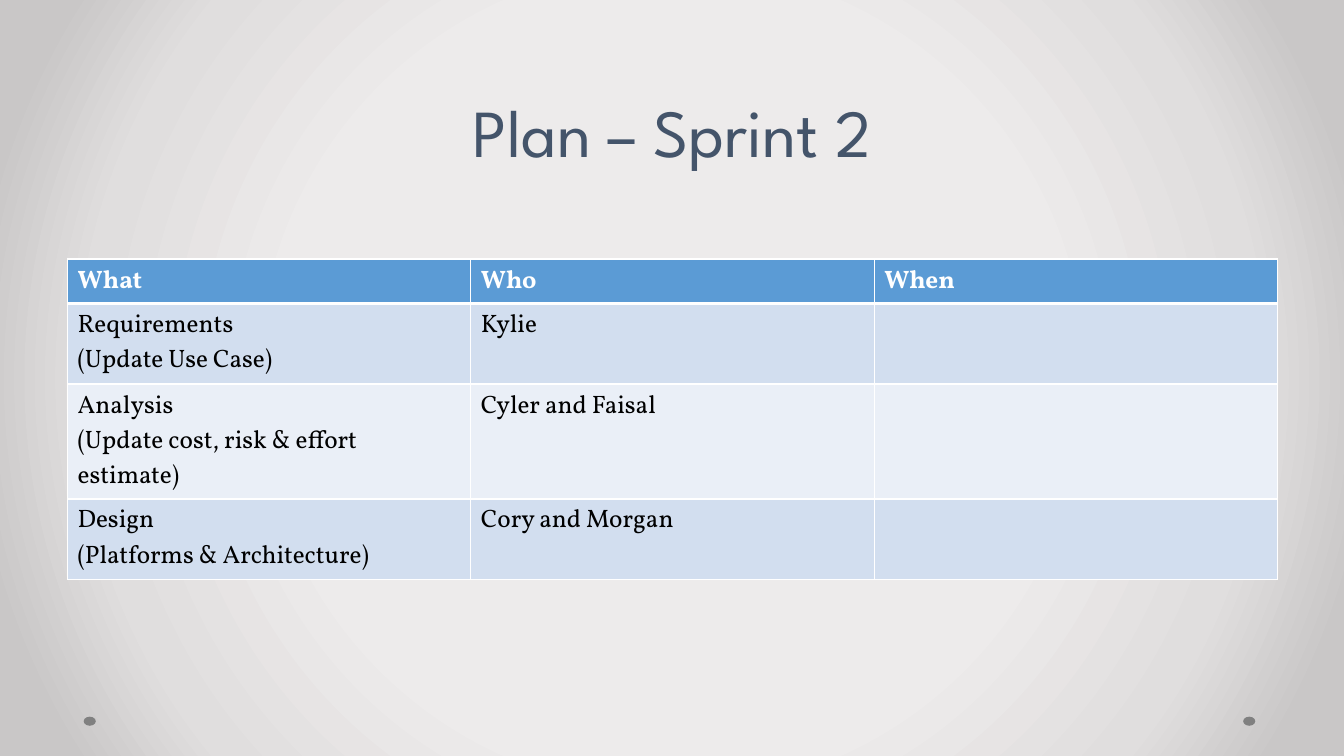
from dataclasses import dataclass

from lxml import etree
from pptx import Presentation
from pptx.dml.color import RGBColor
from pptx.enum.shapes import MSO_SHAPE as SHAPE
from pptx.enum.text import MSO_ANCHOR as ANCHOR, PP_ALIGN as ALIGN
from pptx.oxml import parse_xml
from pptx.oxml.ns import nsdecls, qn
from pptx.util import Inches, Pt


@dataclass(frozen=True)
class Theme:
    title_font: str = "League Spartan"
    body_font: str = "Vollkorn"
    title_size: int = 48
    body_size: int = 18
    title: str = "44546A"
    dot: str = "808080"
    header: str = "5B9BD5"
    header_text: str = "FFFFFF"
    body_text: str = "000000"
    bands: tuple = ("D2DEEF", "EAEFF7")
    border: str = "FFFFFF"
    backdrop: tuple = ((50, "EDEBEB"), (76, "E0DEDE"), (92, "C9C7C7"))


THEME = Theme()
SLIDE_W, SLIDE_H = 13.33, 7.5
PLAN = [
    ("What", "Who", "When"),
    ("Requirements\n(Update Use Case)", "Kylie", ""),
    ("Analysis\n(Update cost, risk & effort estimate)", "Cyler and Faisal", ""),
    ("Design\n(Platforms & Architecture)", "Cory and Morgan", ""),
]
ROW_HEIGHTS = (0.44, 0.8, 1.14, 0.8)


def style_run(r, font, size, color, bold=False):
    r.font.name = font
    r.font.size = Pt(size)
    r.font.bold = bold
    r.font.color.rgb = RGBColor.from_string(color)


def set_backdrop(slide):
    """Fill the background with a gradient that spreads from the centre."""
    slide.background.fill.solid()
    solid = slide.element.find(".//" + qn("p:bgPr")).find(qn("a:solidFill"))
    stops = "".join(
        f'<a:gs pos="{pos * 1000}"><a:srgbClr val="{color}"/></a:gs>'
        for pos, color in THEME.backdrop
    )
    gradient = parse_xml(
        f'<a:gradFill {nsdecls("a")} rotWithShape="1"><a:gsLst>{stops}</a:gsLst>'
        '<a:path path="circle"><a:fillToRect l="50000" t="50000" r="50000" b="50000"/>'
        "</a:path></a:gradFill>"
    )
    solid.getparent().replace(solid, gradient)


def add_footer_dots(slide, left, top, width, height):
    """Place one dot at each end of the box."""
    dot_w = 0.12
    for x in (left, left + width - dot_w):
        sp = slide.shapes.add_shape(
            SHAPE.OVAL, Inches(x), Inches(top), Inches(dot_w), Inches(height)
        )
        sp.shadow.inherit = False
        sp.fill.solid()
        sp.fill.fore_color.rgb = RGBColor.from_string(THEME.dot)
        sp.line.fill.background()


def add_title(slide, text, left, top, width, height):
    box = slide.shapes.add_textbox(
        Inches(left), Inches(top), Inches(width), Inches(height)
    )
    tf = box.text_frame
    tf.word_wrap = True
    tf.vertical_anchor = ANCHOR.BOTTOM
    tf.text = text
    p = tf.paragraphs[0]
    p.alignment = ALIGN.CENTER
    p.line_spacing = Pt(THEME.title_size)
    style_run(p.runs[0], THEME.title_font, THEME.title_size, THEME.title)


def set_borders(cell, widths):
    """Draw the left, right, top and bottom borders, with widths in points."""
    tc_pr = cell._tc.get_or_add_tcPr()
    for i, (side, width) in enumerate(zip("LRTB", widths)):
        ln = etree.Element(qn(f"a:ln{side}"), w=str(Pt(width)))
        fill = etree.SubElement(ln, qn("a:solidFill"))
        etree.SubElement(fill, qn("a:srgbClr"), val=THEME.border)
        tc_pr.insert(i, ln)


def add_plan_table(slide, rows, left, top, width):
    n_cols = len(rows[0])
    table = slide.shapes.add_table(
        len(rows), n_cols, Inches(left), Inches(top),
        Inches(width), Inches(sum(ROW_HEIGHTS)),
    ).table
    for col in table.columns:
        col.width = Inches(width / n_cols)
    for i, (values, height) in enumerate(zip(rows, ROW_HEIGHTS)):
        table.rows[i].height = Inches(height)
        header = i == 0
        fill = THEME.header if header else THEME.bands[(i - 1) % 2]
        color = THEME.header_text if header else THEME.body_text
        for cell, value in zip(table.rows[i].cells, values):
            cell.text_frame.text = value
            cell.fill.solid()
            cell.fill.fore_color.rgb = RGBColor.from_string(fill)
            set_borders(cell, (1, 1, 3 if i == 1 else 1, 3 if header else 1))
            for p in cell.text_frame.paragraphs:
                for r in p.runs:
                    style_run(r, THEME.body_font, THEME.body_size, color, header)


def add_plan_slide(prs):
    slide = prs.slides.add_slide(prs.slide_layouts[6])
    margin, content_w = 0.67, 12
    set_backdrop(slide)
    add_footer_dots(slide, 0.83, 7.11, 11.62, 0.09)
    add_title(slide, "Plan – Sprint 2", margin, 0, content_w, 1.75)
    add_plan_table(slide, PLAN, margin, 2.57, content_w)


def main():
    prs = Presentation()
    prs.slide_width, prs.slide_height = Inches(SLIDE_W), Inches(SLIDE_H)
    add_plan_slide(prs)
    prs.save("out.pptx")


if __name__ == "__main__":
    main()
